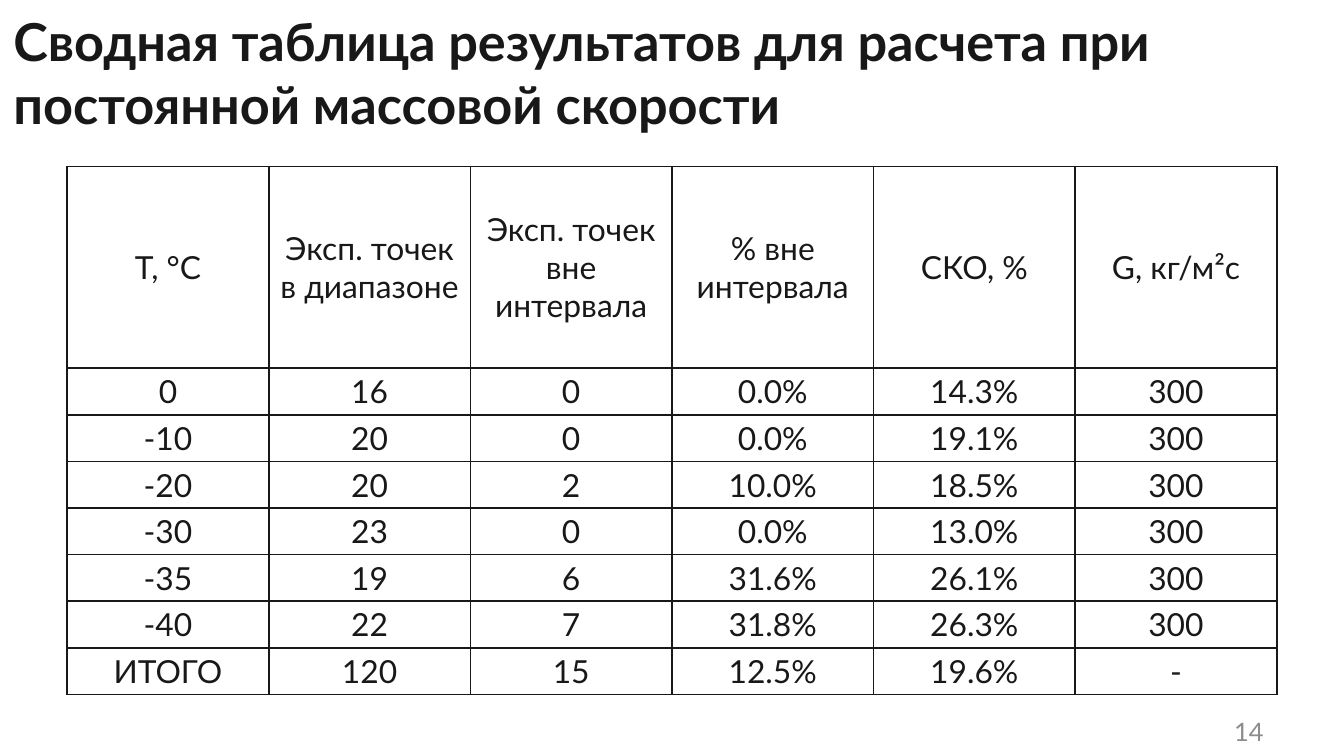
from dataclasses import dataclass

from lxml import etree
from pptx import Presentation
from pptx import util as u
from pptx.dml.color import RGBColor
from pptx.enum import text
from pptx.oxml import ns


@dataclass(frozen=True)
class Theme:
    font: str = "Lato"
    ink: str = "181818"
    grey: str = "8C8C8C"
    head: float = 28
    body: float = 17
    page: float = 13.6
    rule: float = 1


theme = Theme()


def put(frame, words, size, color=theme.ink, bold=False,
        align=text.PP_ALIGN.LEFT, anchor=text.MSO_ANCHOR.MIDDLE):
    frame.word_wrap = True
    frame.vertical_anchor = anchor
    para = frame.paragraphs[0]
    para.alignment = align
    para.line_spacing = 1.0
    run = para.add_run()
    run.text = words
    run.font.name = theme.font
    run.font.size = u.Pt(size)
    run.font.bold = bold
    run.font.color.rgb = RGBColor.from_string(color)


def edge(cell):
    props = cell._tc.get_or_add_tcPr()
    for i, side in enumerate(("lnL", "lnR", "lnT", "lnB")):
        line = etree.Element(ns.qn("a:" + side), w=str(u.Pt(theme.rule)))
        fill = etree.SubElement(line, ns.qn("a:solidFill"))
        etree.SubElement(fill, ns.qn("a:srgbClr"), val=theme.ink)
        props.insert(i, line)


deck = Presentation()
deck.slide_width, deck.slide_height = u.Cm(25.4), u.Cm(14.29)
slide = deck.slides.add_slide(deck.slide_layouts[5])

# Title
title = slide.shapes.title
title.left, title.top = u.Cm(0), u.Cm(0.05)
title.width, title.height = u.Cm(22.86), u.Cm(2.5)
title.text_frame.auto_size = text.MSO_AUTO_SIZE.NONE
put(title.text_frame,
    "Сводная таблица результатов для расчета при постоянной массовой скорости",
    theme.head, bold=True, anchor=text.MSO_ANCHOR.TOP)

# Results table
data = [
    ("T, °C", "Эксп. точек в диапазоне", "Эксп. точек вне интервала",
     "% вне интервала", "СКО, %", "G, кг/м²с"),
    ("0", "16", "0", "0.0%", "14.3%", "300"),
    ("-10", "20", "0", "0.0%", "19.1%", "300"),
    ("-20", "20", "2", "10.0%", "18.5%", "300"),
    ("-30", "23", "0", "0.0%", "13.0%", "300"),
    ("-35", "19", "6", "31.6%", "26.1%", "300"),
    ("-40", "22", "7", "31.8%", "26.3%", "300"),
    ("ИТОГО", "120", "15", "12.5%", "19.6%", "-"),
]
wide, tall, low = 3.81, 3.81, 0.88
rows, cols = len(data), len(data[0])
table = slide.shapes.add_table(
    rows, cols, u.Cm(1.27), u.Cm(3.15),
    u.Cm(wide * cols), u.Cm(tall + low * (rows - 1))).table
table.first_row = table.horz_banding = False

for col in table.columns:
    col.width = u.Cm(wide)
for r, line in enumerate(data):
    table.rows[r].height = u.Cm(low if r else tall)
    for c, words in enumerate(line):
        cell = table.cell(r, c)
        cell.fill.background()
        cell.margin_left = cell.margin_right = u.Cm(0.15)
        cell.margin_top = cell.margin_bottom = u.Cm(0.08)
        cell.vertical_anchor = text.MSO_ANCHOR.MIDDLE
        put(cell.text_frame, words, theme.body, align=text.PP_ALIGN.CENTER)
        edge(cell)

# Page number
page = slide.shapes.add_textbox(u.Cm(22.71), u.Cm(13.44), u.Cm(1.42), u.Cm(0.76))
put(page.text_frame, "14", theme.page, color=theme.grey,
    align=text.PP_ALIGN.RIGHT)

deck.save("out.pptx")
